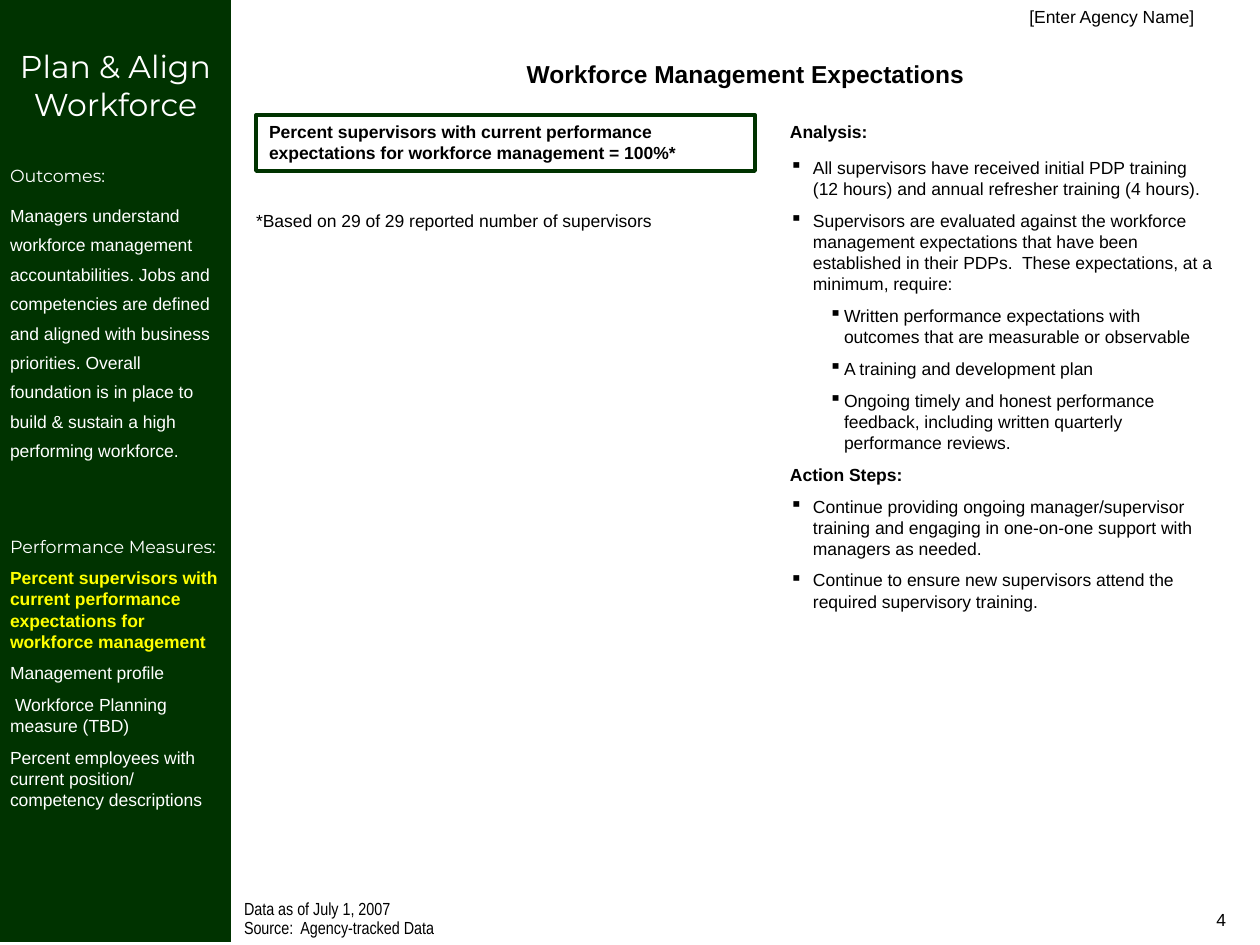
from lxml.etree import SubElement
from pptx import Presentation
from pptx.dml.color import RGBColor
from pptx.enum.shapes import MSO_SHAPE as Shape
from pptx.enum.text import MSO_ANCHOR as Anchor, PP_ALIGN as Align
from pptx.oxml.ns import qn
from pptx.util import Emu, Pt

GREEN, WHITE, BLACK, YELLOW = "003300", "FFFFFF", "000000", "FFFF00"
BODY, DISPLAY, NARROW = "Arial", "Montserrat", "Arial Narrow"
GAP = 6.2  # usual space before a paragraph, in points


def px(count):
    return Emu(round(count * 914400 / 126))


def color(value):
    return RGBColor.from_string(value)


def set_frame(shape, inset_x=13, inset_y=6):
    frame = shape.text_frame
    frame.word_wrap = True
    frame.vertical_anchor = Anchor.TOP
    frame.margin_left = frame.margin_right = px(inset_x)
    frame.margin_top = frame.margin_bottom = px(inset_y)
    return frame


def add_text_box(page, box):
    return set_frame(page.shapes.add_textbox(*map(px, box)))


def add_panel(page, box):
    panel = page.shapes.add_shape(Shape.RECTANGLE, *map(px, box))
    panel.shadow.inherit = False
    return panel


def add_para(frame, text, size=10, font=BODY, ink=BLACK, bold=False,
             align=Align.LEFT, before=GAP, spacing=None):
    para = frame.paragraphs[0]
    if para.runs:
        para = frame.add_paragraph()
        para.space_before = Pt(before)
    para.alignment = align
    if spacing:
        para.line_spacing = spacing
    span = para.add_run()
    span.text = text
    span.font.size = Pt(size)
    span.font.name = font
    span.font.bold = bold
    span.font.color.rgb = color(ink)
    return para


def set_indent(para, left, first):
    props = para._p.get_or_add_pPr()
    props.set("marL", str(px(left)))
    props.set("indent", str(px(first)))
    return props


def add_bullet(frame, text, left=23, hang=23, before=GAP):
    para = add_para(frame, text, before=before)
    props = set_indent(para, left, -hang)
    tint = SubElement(props, qn("a:buClr"))
    SubElement(tint, qn("a:srgbClr"), val=BLACK)
    SubElement(props, qn("a:buChar"), char="▪")


def add_sidebar(page, box):
    panel = add_panel(page, box)
    panel.fill.solid()
    panel.fill.fore_color.rgb = color(GREEN)
    panel.line.fill.background()
    frame = set_frame(panel, 10, 5)
    frame.margin_top = px(47)
    add_para(frame, "Plan & Align Workforce", 18, DISPLAY, WHITE, align=Align.CENTER)
    add_para(frame, "Outcomes:", font=DISPLAY, ink=WHITE, before=24)
    add_para(frame, "Managers understand workforce management accountabilities. "
             "Jobs and competencies are defined and aligned with business priorities. "
             "Overall foundation is in place to build & sustain a high performing "
             "workforce.", ink=WHITE, spacing=1.4)
    add_para(frame, "Performance Measures:", font=DISPLAY, ink=WHITE, before=42.5)
    add_para(frame, "Percent supervisors with current performance expectations "
             "for workforce management", ink=YELLOW, bold=True)
    add_para(frame, "Management profile", ink=WHITE)
    planning = add_para(frame, "Workforce Planning measure (TBD)", ink=WHITE)
    set_indent(planning, 0, 5)
    add_para(frame, "Percent employees with current position/ competency descriptions",
             ink=WHITE)


def add_heading(page, box):
    add_para(add_text_box(page, box), "Workforce Management Expectations", 14,
             bold=True, align=Align.CENTER)


def add_measure(page, box):
    left, top, width, height = box
    # Outlined result
    panel = add_panel(page, box)
    panel.fill.background()
    panel.line.color.rgb = color(GREEN)
    panel.line.width = Pt(2.25)
    add_para(set_frame(panel), "Percent supervisors with current performance "
             "expectations for workforce management = 100%*", bold=True)
    # Footnote below it
    note = add_text_box(page, (left - 13, top + height + 33, width, 33))
    add_para(note, "*Based on 29 of 29 reported number of supervisors")


def add_analysis(page, box):
    frame = add_text_box(page, box)
    add_para(frame, "Analysis:", bold=True)
    add_bullet(frame, "All supervisors have received initial PDP training (12 hours) "
               "and annual refresher training (4 hours).", before=8.5)
    add_bullet(frame, "Supervisors are evaluated against the workforce management "
               "expectations that have been established in their PDPs.  These "
               "expectations, at a minimum, require:")
    for requirement in (
        "Written performance expectations with outcomes that are measurable or observable",
        "A training and development plan",
        "Ongoing timely and honest performance feedback, including written quarterly "
        "performance reviews.",
    ):
        add_bullet(frame, requirement, left=54, hang=15)
    add_para(frame, "Action Steps:", bold=True)
    for step in (
        "Continue providing ongoing manager/supervisor training and engaging in "
        "one-on-one support with managers as needed.",
        "Continue to ensure new supervisors attend the required supervisory training.",
    ):
        add_bullet(frame, step)


def add_source_note(page, box):
    frame = add_text_box(page, box)
    for line in ("Data as of July 1, 2007", "Source:  Agency-tracked Data"):
        add_para(frame, line, font=NARROW, before=2.5, spacing=0.7)


def add_corner_text(page, box, text):
    add_para(add_text_box(page, box), text, align=Align.RIGHT)


def main():
    deck = Presentation()
    deck.slide_width, deck.slide_height = px(1260), px(945)
    page = deck.slides.add_slide(deck.slide_layouts[6])
    add_analysis(page, (777, 115, 449, 600))
    add_sidebar(page, (0, 0, 231, 942))
    add_source_note(page, (231, 898, 609, 47))
    add_measure(page, (256, 115, 499, 56))
    add_heading(page, (231, 53, 1029, 43))
    add_corner_text(page, (577, 0, 630, 32), "[Enter Agency Name]")
    add_corner_text(page, (945, 903, 294, 42), "4")
    deck.save("out.pptx")


if __name__ == "__main__":
    main()
